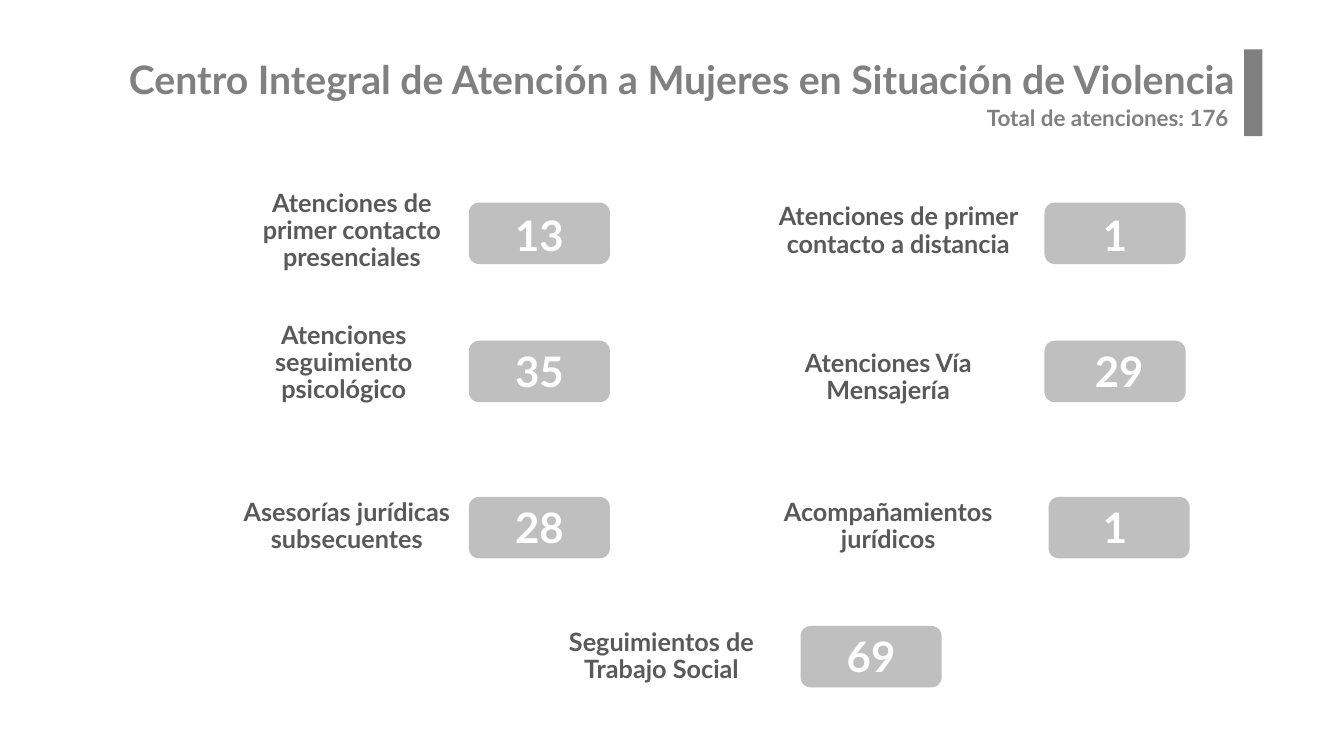
from pptx import Presentation
from pptx.dml.color import RGBColor
from pptx.enum.shapes import MSO_SHAPE
from pptx.enum.text import MSO_ANCHOR, MSO_AUTO_SIZE, PP_ALIGN
from pptx.util import Inches, Pt

RECT, ROUND = MSO_SHAPE.RECTANGLE, MSO_SHAPE.ROUNDED_RECTANGLE
TOP, MIDDLE = MSO_ANCHOR.TOP, MSO_ANCHOR.MIDDLE
LEFT, CENTER, RIGHT = PP_ALIGN.LEFT, PP_ALIGN.CENTER, PP_ALIGN.RIGHT
GROW, FIXED = MSO_AUTO_SIZE.SHAPE_TO_FIT_TEXT, MSO_AUTO_SIZE.NONE

GRAY, LIGHT, DARK, WHITE = "808080", "BFBFBF", "595959", "FFFFFF"


def rgb(value):
    return RGBColor.from_string(value)


def write(tf, text, size=18, color=DARK, align=LEFT, spacing=None):
    p = tf.paragraphs[0]
    p.alignment = align
    if spacing:
        p.line_spacing = spacing
    r = p.add_run()
    r.text = text
    r.font.name = "Lato"
    r.font.size = Pt(size)
    r.font.bold = True
    r.font.color.rgb = rgb(color)


class Board:
    def __init__(self, slide):
        self.slide = slide

    def shape(self, kind, x, y, w, h, fill):
        sp = self.slide.shapes.add_shape(kind, Inches(x), Inches(y), Inches(w), Inches(h))
        sp.shadow.inherit = False
        sp.fill.solid()
        sp.fill.fore_color.rgb = rgb(fill)
        sp.line.fill.background()

    def text(self, text, x, y, w, h, anchor=TOP, fit=FIXED, pad=0.05, **fmt):
        sp = self.slide.shapes.add_textbox(Inches(x), Inches(y), Inches(w), Inches(h))
        tf = sp.text_frame
        tf.word_wrap = True
        tf.auto_size = fit
        tf.vertical_anchor = anchor
        tf.margin_left = tf.margin_right = Inches(2 * pad)
        tf.margin_top = tf.margin_bottom = Inches(pad)
        write(tf, text, **fmt)

    def counter(self, label, label_box, value, badge, value_at):
        self.text(label, *label_box, anchor=MIDDLE, align=CENTER, spacing=0.9)
        self.shape(ROUND, *badge, 1.4, 0.61, LIGHT)
        self.text(value, *value_at, 1.04, 0.61, fit=GROW, size=30, color=WHITE, align=CENTER)


COUNTERS = [
    ("Atenciones de primer contacto presenciales", (2.28, 1.96, 2.42, 0.67),
     "13", (4.65, 2.01), (4.83, 2.03)),
    ("Atenciones de primer contacto a distancia", (7.56, 1.74, 2.7, 1.11),
     "1", (10.36, 2.01), (10.54, 2.03)),
    ("Atenciones seguimiento psicológico", (2.23, 3.27, 2.36, 0.67),
     "35", (4.65, 3.38), (4.83, 3.38)),
    ("Atenciones Vía Mensajería", (7.46, 3.19, 2.7, 1.11),
     "29", (10.36, 3.38), (10.58, 3.38)),
    ("Asesorías jurídicas subsecuentes", (2.23, 4.89, 2.42, 0.67),
     "28", (4.65, 4.93), (4.83, 4.93)),
    ("Acompañamientos jurídicos", (7.46, 4.67, 2.7, 1.11),
     "1", (10.4, 4.93), (10.54, 4.93)),
    ("Seguimientos de Trabajo Social", (5.35, 6.18, 2.42, 0.67),
     "69", (7.94, 6.21), (8.12, 6.21)),
]


def main():
    prs = Presentation()
    prs.slide_width, prs.slide_height = Inches(13.33), Inches(7.5)
    board = Board(prs.slides.add_slide(prs.slide_layouts[6]))
    for counter in COUNTERS:
        board.counter(*counter)
    board.text("Centro Integral de Atención a Mujeres en Situación de Violencia",
               0.63, 0.45, 11.81, 0.87, pad=0.1, size=28, color=GRAY, align=RIGHT)
    board.shape(RECT, 12.34, 0.49, 0.18, 0.86, GRAY)
    board.text("Total de atenciones: 176", 9.69, 0.98, 2.85, 0.37,
               fit=GROW, size=16, color=GRAY)
    prs.save("out.pptx")


if __name__ == "__main__":
    main()
